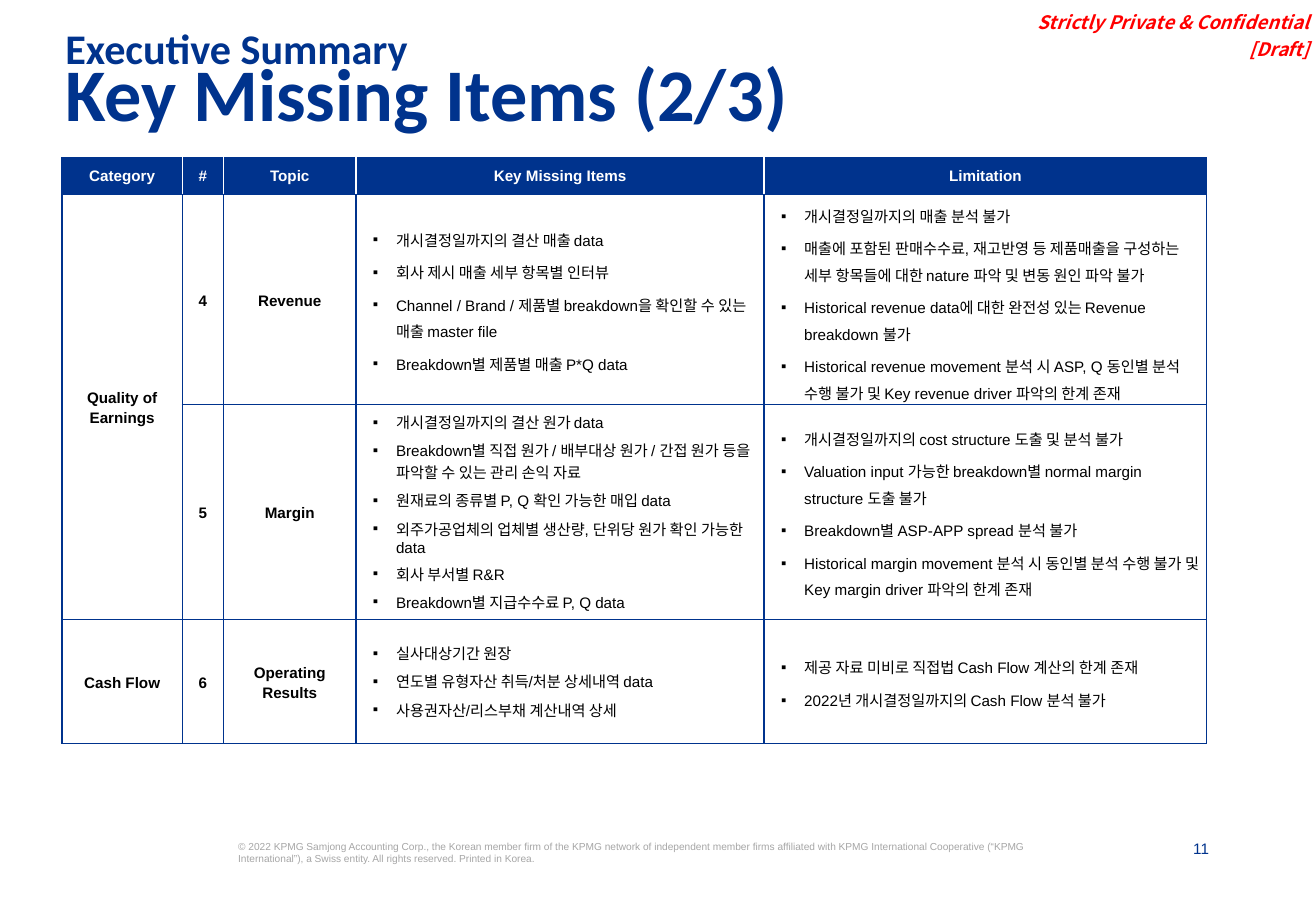
from lxml import etree
from pptx import Presentation
from pptx.dml.color import RGBColor
from pptx.enum import text
from pptx.oxml.ns import qn
from pptx.util import Emu, Inches, Pt

WIDTH, HEIGHT = Inches(10.83), Inches(7.5)
COLORS = {"navy": "00338D", "red": "FF0000", "grey": "A6A6A6", "white": "FFFFFF", "black": "000000"}
KOREAN_FONT = "Noto Sans CJK KR"
CENTER, RIGHT = text.PP_ALIGN.CENTER, text.PP_ALIGN.RIGHT

COLUMN_SHARES = [9.14, 3.14, 10.06, 31.02, 33.61]
ROW_SHARES = [4, 23.07, 23.6, 13.6]
HEADERS = ["Category", "#", "Topic", "Key Missing Items", "Limitation"]
# Category, number, topic, line spacing of the missing items, missing items, limitations
ROWS = [
    ("Quality of Earnings", "4", "Revenue", 1.2, [
        "개시결정일까지의 결산 매출 data",
        "회사 제시 매출 세부 항목별 인터뷰",
        "Channel / Brand / 제품별 breakdown을 확인할 수 있는 매출 master file",
        "Breakdown별 제품별 매출 P*Q data",
    ], [
        "개시결정일까지의 매출 분석 불가",
        "매출에 포함된 판매수수료, 재고반영 등 제품매출을 구성하는 세부 항목들에 대한 nature 파악 및 변동 원인 파악 불가",
        "Historical revenue data에 대한 완전성 있는 Revenue breakdown 불가",
        "Historical revenue movement 분석 시 ASP, Q 동인별 분석 수행 불가 및 Key revenue driver 파악의 한계 존재",
    ]),
    ("", "5", "Margin", 1.0, [
        "개시결정일까지의 결산 원가 data",
        "Breakdown별 직접 원가 / 배부대상 원가 / 간접 원가 등을 파악할 수 있는 관리 손익 자료",
        "원재료의 종류별 P, Q 확인 가능한 매입 data",
        "외주가공업체의 업체별 생산량, 단위당 원가 확인 가능한 data",
        "회사 부서별 R&R",
        "Breakdown별 지급수수료 P, Q data",
    ], [
        "개시결정일까지의 cost structure 도출 및 분석 불가",
        "Valuation input 가능한 breakdown별 normal margin structure 도출 불가",
        "Breakdown별 ASP-APP spread 분석 불가",
        "Historical margin movement 분석 시 동인별 분석 수행 불가 및 Key margin driver 파악의 한계 존재",
    ]),
    ("Cash Flow", "6", "Operating Results", 1.0, [
        "실사대상기간 원장",
        "연도별 유형자산 취득/처분 상세내역 data",
        "사용권자산/리스부채 계산내역 상세",
    ], [
        "제공 자료 미비로 직접법 Cash Flow 계산의 한계 존재",
        "2022년 개시결정일까지의 Cash Flow 분석 불가",
    ]),
]
COPYRIGHT = (
    "© 2022 KPMG Samjong Accounting Corp., the Korean member firm of the KPMG network of "
    "independent member firms affiliated with KPMG International Cooperative (“KPMG "
    "International”), a Swiss entity. All rights reserved. Printed in Korea."
)


def across(percent):
    return Emu(round(WIDTH * percent / 100))


def down(percent):
    return Emu(round(HEIGHT * percent / 100))


def place(left, top, width, height):
    """Turn percentages of the slide into lengths."""
    return across(left), down(top), across(width), down(height)


def format_runs(paragraph, size, color, name="Arial", bold=False, italic=False):
    for run in paragraph.runs:
        font = run.font
        font.size, font.name, font.bold, font.italic = Pt(size), name, bold, italic
        font.color.rgb = RGBColor.from_string(COLORS[color])
        east_asian = etree.Element(qn("a:ea"), typeface=KOREAN_FONT)
        run._r.rPr.find(qn("a:latin")).addnext(east_asian)


def set_margins(frame, left, top, right, bottom):
    frame.margin_left, frame.margin_top = Inches(left), Inches(top)
    frame.margin_right, frame.margin_bottom = Inches(right), Inches(bottom)


def add_text(slide, box, lines, size, color, margins=(0, 0, 0, 0), align=None,
             line_spacing=None, gap=0, **font):
    frame = slide.shapes.add_textbox(*place(*box)).text_frame
    frame.word_wrap = True
    set_margins(frame, *margins)
    frame.text = "\n".join(lines)
    for index, paragraph in enumerate(frame.paragraphs):
        paragraph.alignment, paragraph.line_spacing = align, line_spacing
        if index and gap:
            paragraph.space_before = Pt(gap)
        format_runs(paragraph, size, color, **font)
    return frame


def set_borders(cell, **side_colors):
    """Draw the four sides in navy, except those given another colour."""
    properties = cell._tc.get_or_add_tcPr()
    for index, side in enumerate("LRTB"):
        line = etree.Element(qn(f"a:ln{side}"), w=str(Pt(1)))
        fill = etree.SubElement(line, qn("a:solidFill"))
        etree.SubElement(fill, qn("a:srgbClr"), val=COLORS[side_colors.get(side, "navy")])
        properties.insert(index, line)


def style_cell(cell, fill, **side_colors):
    cell.vertical_anchor = text.MSO_ANCHOR.MIDDLE
    set_margins(cell, 0.05, 0.05, 0.05, 0.05)
    cell.fill.solid()
    cell.fill.fore_color.rgb = RGBColor.from_string(COLORS[fill])
    set_borders(cell, **side_colors)


def fill_label(cell, label, color, line_spacing=None):
    cell.text_frame.text = label
    paragraph = cell.text_frame.paragraphs[0]
    paragraph.alignment, paragraph.line_spacing = CENTER, line_spacing
    format_runs(paragraph, 9, color, bold=True)


def fill_bullets(cell, items, line_spacing):
    cell.text_frame.text = "\n".join(items)
    for index, paragraph in enumerate(cell.text_frame.paragraphs):
        paragraph.line_spacing = line_spacing
        if index:
            paragraph.space_before = Pt(3.6)
        properties = paragraph._p.get_or_add_pPr()
        properties.set("marL", str(Inches(0.28)))
        properties.set("indent", str(Inches(-0.19)))
        etree.SubElement(properties, qn("a:buFont"), typeface="Arial")
        etree.SubElement(properties, qn("a:buChar"), char="▪")
        format_runs(paragraph, 9, "black")


def add_items_table(slide):
    box = place(4.71, 17.33, sum(COLUMN_SHARES), sum(ROW_SHARES))
    table = slide.shapes.add_table(len(ROW_SHARES), len(COLUMN_SHARES), *box).table
    for column, share in zip(table.columns, COLUMN_SHARES):
        column.width = across(share)
    for row, share in zip(table.rows, ROW_SHARES):
        row.height = down(share)

    last = len(HEADERS) - 1
    for index, header in enumerate(HEADERS):
        cell = table.cell(0, index)
        style_cell(cell, "navy", L="white" if index else "navy",
                   R="white" if index < last else "navy")
        fill_label(cell, header, "white")

    for row, (*labels, spacing, missing, limitations) in enumerate(ROWS, start=1):
        for column in range(len(HEADERS)):
            style_cell(table.cell(row, column), "white")
        for column, label in enumerate(labels):
            if label:
                fill_label(table.cell(row, column), label, "black", Pt(12))
        fill_bullets(table.cell(row, 3), missing, spacing)
        fill_bullets(table.cell(row, 4), limitations, 1.2)
    table.cell(1, 0).merge(table.cell(2, 0))


def main():
    presentation = Presentation()
    presentation.slide_width, presentation.slide_height = WIDTH, HEIGHT
    slide = presentation.slides.add_slide(presentation.slide_layouts[6])

    add_text(slide, (87.9, 92.13, 3.97, 2.13), ["11"], 9, "navy", align=RIGHT)
    notice = add_text(slide, (76.82, -0.13, 23.08, 7.33),
                      ["Strictly Private & Confidential", "[Draft]"], 11, "red",
                      margins=(0, 0.04, 0.04, 0.04), align=RIGHT, gap=3,
                      name=KOREAN_FONT, bold=True, italic=True)
    notice.vertical_anchor = text.MSO_ANCHOR.BOTTOM
    notice.auto_size = text.MSO_AUTO_SIZE.SHAPE_TO_FIT_TEXT
    add_text(slide, (18.1, 92.27, 60.3, 6.67), [COPYRIGHT], 6, "grey")

    heading = {"margins": (0.1, 0.05, 0.1, 0.05), "line_spacing": 0.7,
               "name": "Calibri", "bold": True}
    add_text(slide, (4.06, 7.2, 86.8, 8.53), ["Key Missing Items (2/3)"], 44, "navy", **heading)
    add_text(slide, (4.06, 3.33, 86.8, 4), ["Executive Summary"], 25, "navy", **heading)
    add_items_table(slide)
    presentation.save("out.pptx")


if __name__ == "__main__":
    main()
